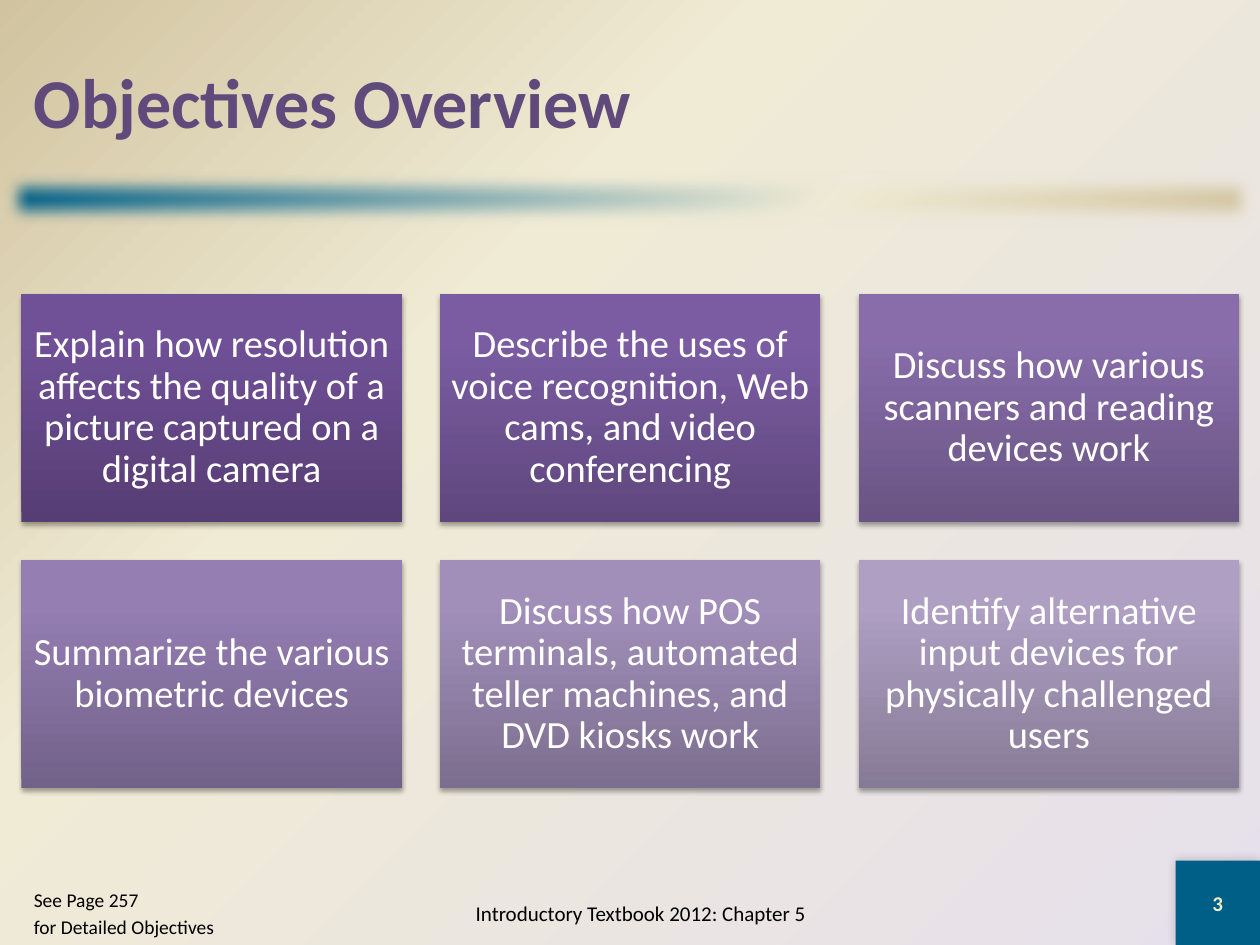
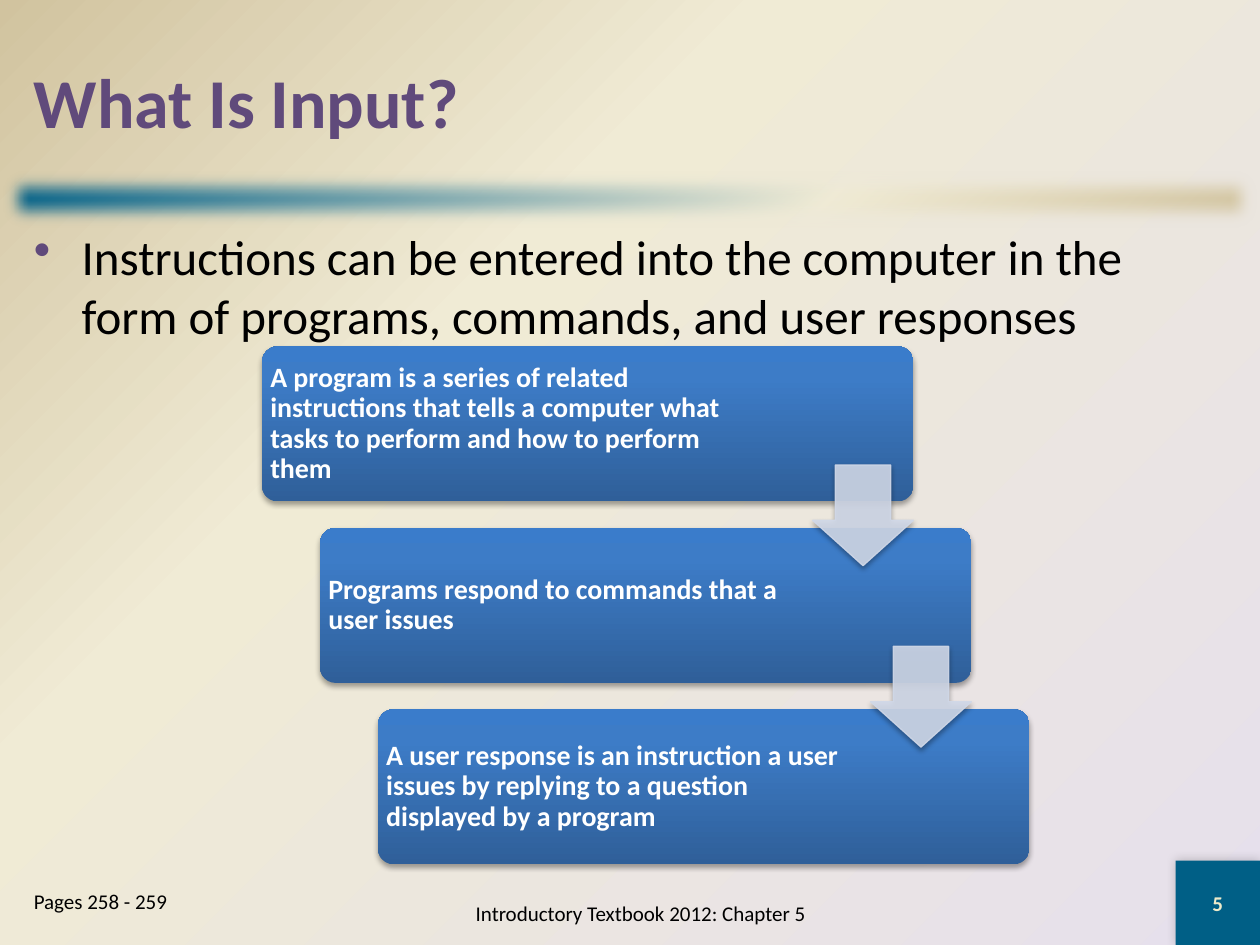
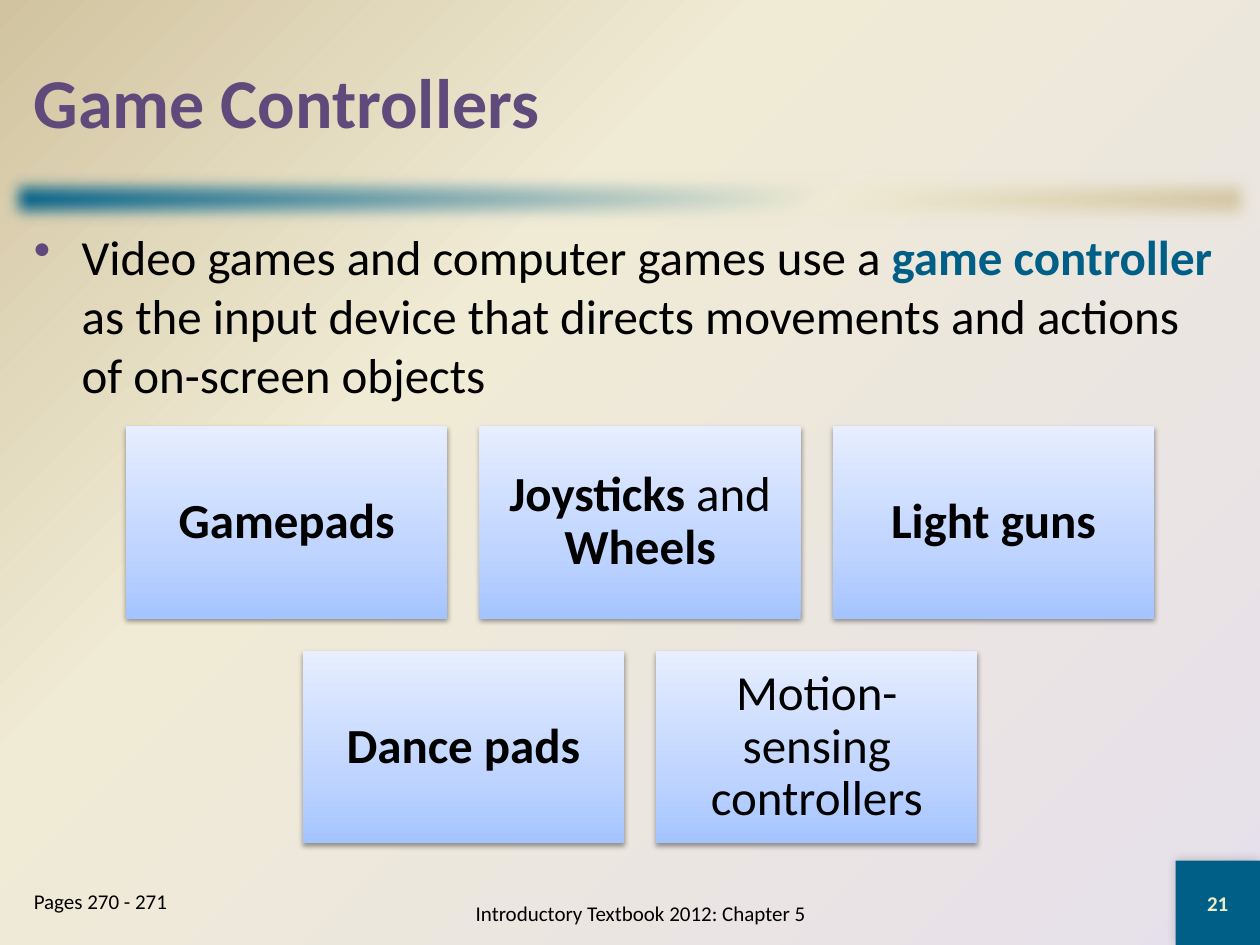
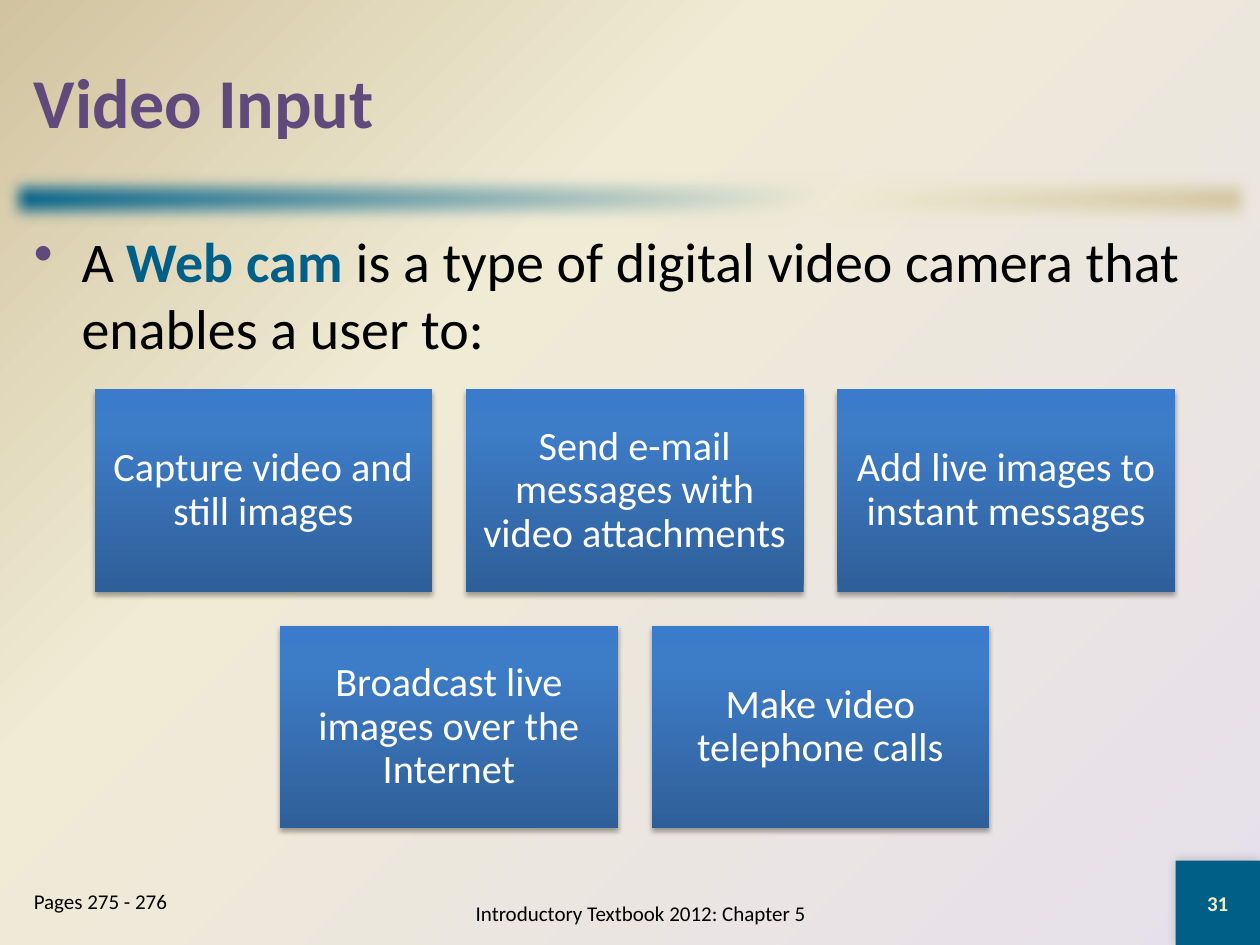
from pptx import Presentation
from pptx.dml.color import RGBColor
from pptx.enum import shapes, text
from pptx.oxml import parse_xml
from pptx.oxml.ns import nsdecls, qn
from pptx.util import Inches, Pt

# Shared colours and fonts
FONT = "Calibri"
BLACK = RGBColor(0x00, 0x00, 0x00)
WHITE = RGBColor(0xFF, 0xFF, 0xFF)
TEAL = RGBColor(0x00, 0x5F, 0x86)
CREAM = RGBColor(0xF0, 0xEB, 0xD5)
SAND = RGBColor(0xD1, 0xC3, 0x9F)
LILAC = RGBColor(0xE6, 0xE0, 0xEC)
PURPLE = RGBColor(0x60, 0x4A, 0x7B)
NUMBER = RGBColor(0xEE, 0xEB, 0xCA)
ARROW = RGBColor(0xD0, 0xD8, 0xE8)


def stops(positions, colors):
    return [(pos, RGBColor.from_string(c)) for pos, c in zip(positions, colors.split())]


BACKGROUND = [(0, LILAC), (65, CREAM), (100, SAND)]
BAND = [(0, TEAL), (65, CREAM), (100, SAND)]
BLUE = stops((0, 80, 100), "2F5F99 3D7CC7 3A7CCB")
PALE_BLUE = stops((0, 35, 100), "A4C4FF BFD4FF E6EEFF")
VIOLETS = [stops((0, 80, 100), c) for c in (
    "563D74 705097 704F99", "5F477D 7B5CA3 7C5BA5", "695483 886DAA 886DAC",
    "726189 947EB2 957EB4", "7C6E8F A18FBA A18FBC", "867B96 AE9FC3 AE9FC4")]

# Shadows: opacity %, blur pt, distance pt, direction
SOFT = (35, 3.1, 1.8, 90)
SUBTLE = (38, 3.1, 1.6, 90)
GLOW = (20, 6, 0, 225)

# Content: a run is a string, or (string, colour) for bold
FOOTER = "Introductory Textbook 2012: Chapter 5"
SLIDES = [
    dict(title="Objectives Overview", number=3, page_size=11.1,
         pages=["See Page 257", "for Detailed Objectives"],
         tiles=dict(left=0.17, top=2.33, width=3.02, inset=0.09, size=22, color=WHITE,
                    fills=VIOLETS, shadow=SOFT, rows=[
                        ["Explain how resolution affects the quality of a picture captured "
                         "on a digital camera",
                         "Describe the uses of voice recognition, Web cams, and video "
                         "conferencing",
                         "Discuss how various scanners and reading devices work"],
                        ["Summarize the various biometric devices",
                         "Discuss how POS terminals, automated teller machines, and DVD "
                         "kiosks work",
                         "Identify alternative input devices for physically challenged "
                         "users"]])),
    dict(title="What Is Input?", number=5, pages=["Pages 258 - 259"], body_size=28,
         body=["Instructions can be entered into the computer in the form of programs, "
               "commands, and user responses"],
         steps=["A program is a series of related instructions that tells a computer what "
                "tasks to perform and how to perform them",
                "Programs respond to commands that a user issues",
                "A user response is an instruction a user issues by replying to a question "
                "displayed by a program"]),
    dict(title="Game Controllers", number=21, pages=["Pages 270 - 271"], body_size=28,
         body=["Video games and computer games use a ", ("game controller ", TEAL),
               "as the input device that directs movements and actions of on-screen objects"],
         tiles=dict(left=1, top=3.38, width=2.55, inset=0.12, size=28, color=BLACK,
                    fills=[PALE_BLUE] * 5, shadow=SUBTLE, rows=[
                        [[("Gamepads", BLACK)],
                         [("Joysticks", BLACK), " and ", ("Wheels", BLACK)],
                         [("Light guns", BLACK)]],
                        [[("Dance pads", BLACK)], "Motion-sensing controllers"]])),
    dict(title="Video Input", number=31, pages=["Pages 275 - 276"], body_size=32,
         body=["A ", ("Web cam ", TEAL),
               "is a type of digital video camera that enables a user to:"],
         tiles=dict(left=0.75, top=3.09, width=2.68, inset=0.1, size=23, color=WHITE,
                    fills=[BLUE] * 5, shadow=SOFT, rows=[
                        ["Capture video and still images",
                         "Send e-mail messages with video attachments",
                         "Add live images to instant messages"],
                        ["Broadcast live images over the Internet",
                         "Make video telephone calls"]])),
]


# XML helpers
def gradient_xml(colors, direction):
    gs = "".join(f'<a:gs pos="{pos * 1000}"><a:srgbClr val="{c}"/></a:gs>'
                 for pos, c in colors)
    return parse_xml(f'<a:gradFill {nsdecls("a")} rotWithShape="1"><a:gsLst>{gs}</a:gsLst>'
                     f'{direction}</a:gradFill>')


def linear(angle):
    return f'<a:lin ang="{angle * 60000}" scaled="0"/>'


def add_effect(sp, xml):
    sp._element.spPr.find(qn("a:effectLst")).append(parse_xml(xml))


def add_shadow(sp, alpha, blur, dist, angle):
    add_effect(sp, f'<a:outerShdw {nsdecls("a")} blurRad="{Pt(blur)}" dist="{Pt(dist)}" '
                   f'dir="{angle * 60000}" rotWithShape="0"><a:srgbClr val="000000">'
                   f'<a:alpha val="{alpha * 1000}"/></a:srgbClr></a:outerShdw>')


def add_bullet(p, color):
    pPr = p._p.get_or_add_pPr()
    pPr.set("marL", str(Inches(0.38)))
    pPr.set("indent", str(-Inches(0.38)))
    for xml in (f'<a:buClr {nsdecls("a")}><a:srgbClr val="{color}"/></a:buClr>',
                f'<a:buChar {nsdecls("a")} char="•"/>'):
        pPr.append(parse_xml(xml))


# Drawing helpers
def write(tf, paragraphs, size=12, color=BLACK, bold=False, align=text.PP_ALIGN.LEFT,
          anchor=text.MSO_ANCHOR.MIDDLE, insets=(0.1, 0.05, 0.1, 0.05), spacing=None,
          bullet=None):
    tf.word_wrap = True
    tf.vertical_anchor = anchor
    tf.margin_left, tf.margin_top, tf.margin_right, tf.margin_bottom = map(Inches, insets)
    for i, runs in enumerate(paragraphs):
        p = tf.add_paragraph() if i else tf.paragraphs[0]
        p.alignment = align
        if spacing:
            p.line_spacing = spacing
        if i:
            p.space_before = Pt(round(size * 0.2, 1))
        if bullet:
            add_bullet(p, bullet)
        for run in [runs] if isinstance(runs, str) else runs:
            words, ink, strong = (run, color, bold) if isinstance(run, str) else (*run, True)
            r = p.add_run()
            r.text = words
            r.font.name, r.font.size, r.font.bold = FONT, Pt(size), strong
            r.font.color.rgb = ink


def add_text(slide, box, paragraphs, **fmt):
    write(slide.shapes.add_textbox(*map(Inches, box)).text_frame, paragraphs, **fmt)


def add_box(slide, box, fill, kind=shapes.MSO_SHAPE.RECTANGLE, angle=270, shadow=None):
    sp = slide.shapes.add_shape(kind, *map(Inches, box))
    sp.shadow.inherit = False
    sp.line.fill.background()
    if isinstance(fill, RGBColor):
        sp.fill.solid()
        sp.fill.fore_color.rgb = fill
    else:
        sp.fill.background()
        spPr = sp._element.spPr
        spPr.replace(spPr.find(qn("a:noFill")), gradient_xml(fill, linear(angle)))
    if shadow:
        add_shadow(sp, *shadow)
    return sp


def add_frame(slide, title, number, pages, page_size=12):
    """Band, title, footer and slide number."""
    band = add_box(slide, (0, 1.33, 10, 0.5), BAND, angle=45)
    add_effect(band, f'<a:softEdge {nsdecls("a")} rad="{Pt(10)}"/>')
    corner = add_box(slide, (9.33, 6.83, 0.67, 0.67), TEAL, shadow=GLOW)
    write(corner.text_frame, [str(number)], color=NUMBER, bold=True,
          align=text.PP_ALIGN.CENTER)
    add_text(slide, (0.17, 0.17, 9.67, 1.25), [title], size=40, color=PURPLE, bold=True)
    add_text(slide, (3, 7, 4.17, 0.5), [FOOTER], align=text.PP_ALIGN.CENTER)
    add_text(slide, (0.17, 7, 1.83, 0.5), pages, size=page_size, anchor=text.MSO_ANCHOR.TOP)


def add_tiles(slide, left, top, width, inset, size, color, fills, shadow, rows):
    """Rows of tiles, each row centred under the widest one."""
    height, gap = 0.6 * width, 0.1 * width
    pitch = width + gap
    most = max(map(len, rows))
    fills = iter(fills)
    for i, row in enumerate(rows):
        start = left + (most - len(row)) * pitch / 2
        for j, runs in enumerate(row):
            box = (start + j * pitch, top + i * (height + gap), width, height)
            sp = add_box(slide, box, next(fills), shadow=shadow)
            write(sp.text_frame, [runs], size=size, color=color, spacing=0.9,
                  align=text.PP_ALIGN.CENTER, insets=[inset] * 4)


def add_steps(slide, steps):
    """Staircase of rounded boxes joined by block arrows."""
    left, top, width, height, arrow = 2.08, 2.75, 5.17, 1.23, 0.8
    corners = [(left + 0.46 * i, top + 1.44 * i) for i in range(len(steps))]
    for (x, y), step in zip(corners, steps):
        sp = add_box(slide, (x, y, width, height), BLUE,
                     shapes.MSO_SHAPE.ROUNDED_RECTANGLE, shadow=SOFT)
        sp.adjustments[0] = 0.1
        write(sp.text_frame, [step], size=16, color=WHITE, bold=True, spacing=0.9,
              insets=(0.03, 0.03, 1.29, 0.03))
    for x, y in corners[:-1]:
        sp = add_box(slide, (x + width - arrow, y + 0.94, arrow, arrow), ARROW,
                     shapes.MSO_SHAPE.DOWN_ARROW, shadow=SOFT)
        sp.adjustments[0], sp.adjustments[1] = 0.55, 0.45
        sp.line.color.rgb = ARROW
        sp.line.width = Pt(0.75)
        for fill in sp._element.spPr.iter(qn("a:solidFill")):
            fill[0].append(parse_xml(f'<a:alpha {nsdecls("a")} val="90000"/>'))


def set_background(slide):
    slide.background.fill.solid()
    bgPr = slide._element.cSld.bg.bgPr
    bgPr.replace(bgPr[0], gradient_xml(
        BACKGROUND,
        '<a:path path="circle"><a:fillToRect l="100000" t="100000"/></a:path>'))


def main():
    prs = Presentation()
    prs.slide_width, prs.slide_height = Inches(10), Inches(7.5)
    for data in SLIDES:
        slide = prs.slides.add_slide(prs.slide_layouts[6])
        set_background(slide)
        add_frame(slide, data["title"], data["number"], data["pages"],
                  data.get("page_size", 12))
        if "body" in data:
            add_text(slide, (0.17, 1.75, 9.67, 5.08), [data["body"]],
                     size=data["body_size"], anchor=text.MSO_ANCHOR.TOP, bullet=PURPLE)
        if "tiles" in data:
            add_tiles(slide, **data["tiles"])
        if "steps" in data:
            add_steps(slide, data["steps"])
    prs.save("out.pptx")


if __name__ == "__main__":
    main()
